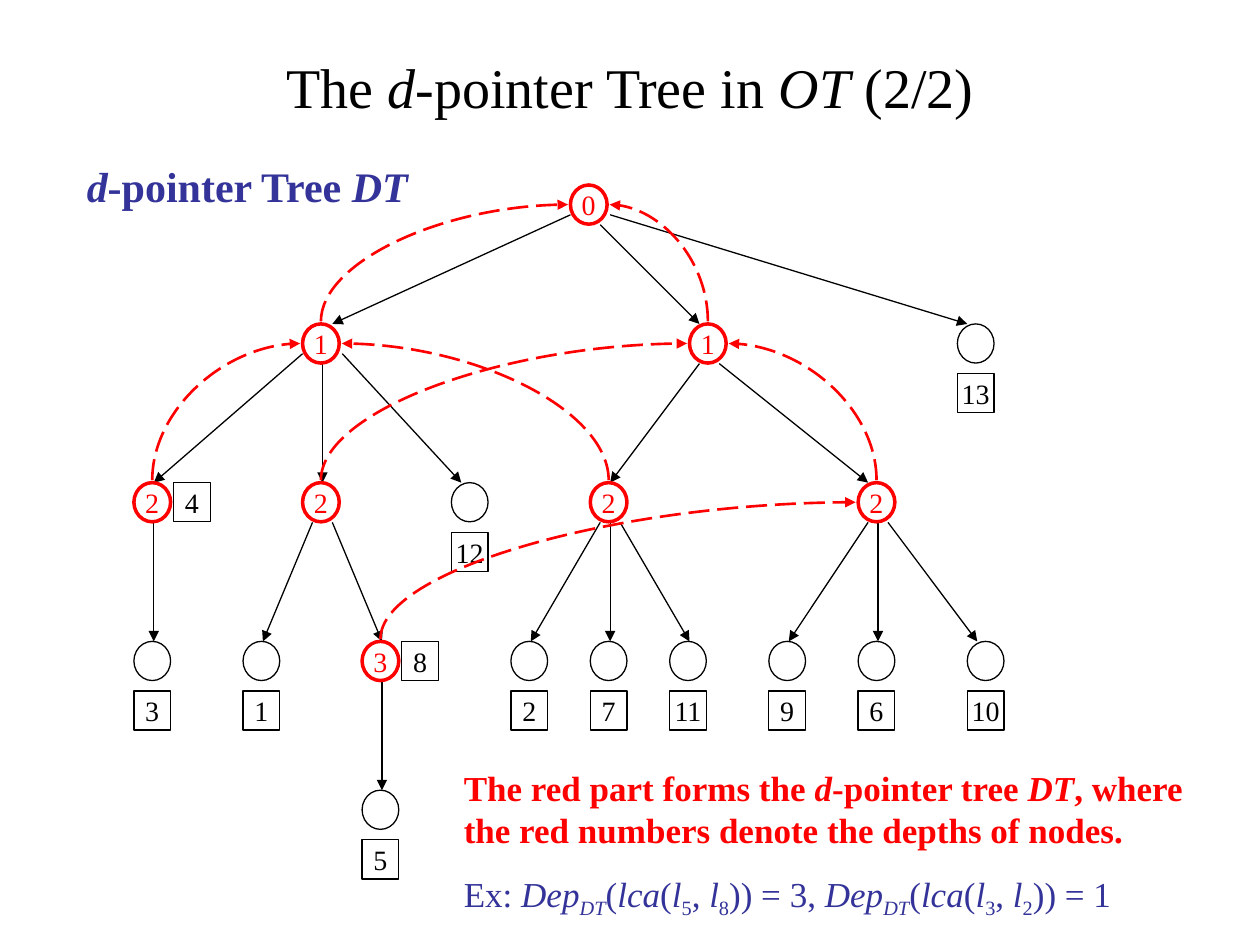
from dataclasses import dataclass

from lxml.etree import SubElement
from pptx import Presentation
from pptx.dml.color import RGBColor
from pptx.enum.dml import MSO_LINE
from pptx.enum.shapes import MSO_CONNECTOR as CONN, MSO_SHAPE as SHAPE
from pptx.enum.text import MSO_ANCHOR as ANCHOR, MSO_AUTO_SIZE as AUTO, PP_ALIGN as ALIGN
from pptx.oxml.ns import qn
from pptx.util import Cm, Pt

RED = RGBColor(0xFF, 0x00, 0x00)
BLACK = RGBColor(0x00, 0x00, 0x00)
BLUE = RGBColor(0x33, 0x33, 0x99)
FONT = "Times New Roman"

NODE_W, NODE_H = 0.74, 0.79
GAP = 0.05  # space between a node's outline and a d-pointer
LEVELS = [3.73, 6.53, 9.73, 12.93, 15.93]


@dataclass(frozen=True)
class Node:
    x: float
    level: int
    depth: str = ""  # red number, only for nodes of DT
    leaf: str = ""   # boxed leaf number

    @property
    def y(self) -> float:
        return LEVELS[self.level]


@dataclass(frozen=True)
class Edge:
    parent: str
    child: str
    dx_from: float = 0.4
    dx_to: float = 0.4


NODES = {
    "root": Node(11.5, 0, "0"),
    "a": Node(6.1, 1, "1"),
    "b": Node(13.9, 1, "1"),
    "l13": Node(19.3, 1, leaf="13"),
    "l4": Node(2.7, 2, "2", "4"),
    "c": Node(6.1, 2, "2"),
    "l12": Node(9.1, 2, leaf="12"),
    "d": Node(11.9, 2, "2"),
    "e": Node(17.3, 2, "2"),
    "l3": Node(2.7, 3, leaf="3"),
    "l1": Node(4.9, 3, leaf="1"),
    "l8": Node(7.3, 3, "3", "8"),
    "l2": Node(10.3, 3, leaf="2"),
    "l7": Node(11.9, 3, leaf="7"),
    "l11": Node(13.5, 3, leaf="11"),
    "l9": Node(15.5, 3, leaf="9"),
    "l6": Node(17.3, 3, leaf="6"),
    "l10": Node(19.5, 3, leaf="10"),
    "l5": Node(7.3, 4, leaf="5"),
}

EDGES = [
    Edge("root", "a", 0, 0.6), Edge("root", "b", 0.6, 0.2), Edge("root", "l13", 0.8, 0.2),
    Edge("a", "l4", 0), Edge("a", "c"), Edge("a", "l12", 0.8, 0.2),
    Edge("b", "d", 0.2), Edge("b", "e", 0.6, 0.2),
    Edge("l4", "l3"), Edge("c", "l1", 0.2), Edge("c", "l8", 0.6), Edge("l8", "l5"),
    Edge("d", "l2", 0.2), Edge("d", "l7"), Edge("d", "l11", 0.6),
    Edge("e", "l9", 0.2), Edge("e", "l6"), Edge("e", "l10", 0.6, 0.2),
]

# d-pointers: from node, to node
POINTERS = [("l8", "e"), ("e", "b"), ("b", "root"), ("a", "root"),
            ("l4", "a"), ("c", "b"), ("d", "a")]


def write(p, *parts, size: float, color: RGBColor = BLACK, bold: bool = False,
          align=None, before: float = 0) -> None:
    """Fill a paragraph with (text, style) parts; style: i = italic, s = subscript."""
    if align is not None:
        p.alignment = align
    if before:
        p.space_before = Pt(before)
    for text, style in parts:
        r = p.add_run()
        r.text = text
        f = r.font
        f.name, f.size, f.bold, f.italic = FONT, Pt(size), bold, "i" in style
        f.color.rgb = color
        if "s" in style:
            r._r.get_or_add_rPr().set("baseline", "-25000")


def add_text_box(slide, x: float, y: float, w: float, h: float):
    tf = slide.shapes.add_textbox(Cm(x), Cm(y), Cm(w), Cm(h)).text_frame
    tf.word_wrap = True
    tf.auto_size = AUTO.SHAPE_TO_FIT_TEXT
    return tf


def add_outline(slide, kind, x: float, y: float, text: str, color: RGBColor, width: float) -> None:
    sp = slide.shapes.add_shape(kind, Cm(x), Cm(y), Cm(NODE_W), Cm(NODE_H))
    sp.shadow.inherit = False
    sp.fill.background()
    sp.line.color.rgb = color
    sp.line.width = Pt(width)
    if text:
        tf = sp.text_frame
        tf.word_wrap = False
        tf.vertical_anchor = ANCHOR.MIDDLE
        write(tf.paragraphs[0], (text, ""), size=16, color=color, align=ALIGN.CENTER)


def draw_node(slide, n: Node) -> None:
    color, width = (RED, 2) if n.depth else (BLACK, 0.75)
    add_outline(slide, SHAPE.OVAL, n.x, n.y, n.depth, color, width)
    if n.leaf:
        x, y = (n.x + 0.8, n.y) if n.depth else (n.x, n.y + 1)
        add_outline(slide, SHAPE.RECTANGLE, x, y, n.leaf, BLACK, 0.75)


def add_arrow(slide, kind, x1: float, y1: float, x2: float, y2: float,
              color: RGBColor, width: float):
    c = slide.shapes.add_connector(kind, Cm(x1), Cm(y1), Cm(x2), Cm(y2))
    c.line.color.rgb = color
    c.line.width = Pt(width)
    SubElement(c.line._get_or_add_ln(), qn("a:tailEnd"), type="triangle")
    SubElement(c._element.spPr, qn("a:effectLst"))
    return c


def draw_edge(slide, e: Edge) -> None:
    a, b = NODES[e.parent], NODES[e.child]
    dy = 0.6 if e.dx_from in (0, 0.8) else 0.8  # sides leave higher than the bottom
    add_arrow(slide, CONN.STRAIGHT, a.x + e.dx_from, a.y + dy, b.x + e.dx_to, b.y, BLACK, 0.75)


def draw_pointer(slide, a: Node, b: Node) -> None:
    """Quarter curve from the top of a to the nearer side of b."""
    rightward = b.x > a.x
    x1, y1 = a.x + NODE_W / 2, a.y - GAP
    x2 = b.x - GAP if rightward else b.x + NODE_W + GAP
    y2 = b.y + NODE_H / 2
    c = add_arrow(slide, CONN.CURVE, x1, y1, x2, y2, RED, 1.5)
    c.line.dash_style = MSO_LINE.LONG_DASH
    # The curve leaves vertically, so its frame is turned by a quarter
    w, h = y1 - y2, abs(x2 - x1)
    c.left, c.top = Cm((x1 + x2 - w) / 2), Cm((y1 + y2 - h) / 2)
    c.width, c.height = Cm(w), Cm(h)
    spPr = c._element.spPr
    spPr.find(qn("a:prstGeom")).set("prst", "curvedConnector2")
    xfrm = spPr.find(qn("a:xfrm"))
    xfrm.set("rot", "5400000" if rightward else "16200000")
    xfrm.set("flipH", "1" if rightward else "0")
    xfrm.set("flipV", "1")


def depth_of_lca(i: str, j: str, value: str) -> list:
    return [("Dep", "i"), ("DT", "is"), ("(", ""), ("lca", "i"), ("(", ""), ("l", "i"), (i, "s"),
            (", ", ""), ("l", "i"), (j, "s"), (f")) = {value}", "")]


def main() -> None:
    prs = Presentation()
    prs.slide_width, prs.slide_height = Cm(25.4), Cm(19.05)
    slide = prs.slides.add_slide(prs.slide_layouts[5])

    # Title
    title = slide.shapes.title
    title.left, title.top, title.width, title.height = Cm(1.27), Cm(0.76), Cm(22.86), Cm(1.96)
    tf = title.text_frame
    tf.auto_size = AUTO.NONE
    tf.vertical_anchor = ANCHOR.MIDDLE
    write(tf.paragraphs[0], ("The ", ""), ("d", "i"), ("-pointer Tree in ", ""), ("OT", "i"),
          (" (2/2)", ""), size=32, align=ALIGN.CENTER)

    # Tree
    for e in EDGES:
        draw_edge(slide, e)
    for n in NODES.values():
        draw_node(slide, n)

    # Explanation and example
    tf = add_text_box(slide, 9.1, 15.32, 15.4, 3.35)
    write(tf.paragraphs[0], ("The red part forms the ", ""), ("d", "i"), ("-pointer tree ", ""),
          ("DT", "i"), (", where the red numbers denote the depths of nodes.", ""),
          size=20, color=RED, bold=True)
    write(tf.add_paragraph(), ("Ex: ", ""), *depth_of_lca("5", "8", "3"), (", ", ""),
          *depth_of_lca("3", "2", "1"), size=20, color=BLUE, before=12.5)

    # Tree heading
    tf = add_text_box(slide, 1.5, 3.12, 7.6, 1.27)
    write(tf.paragraphs[0], ("d", "i"), ("-pointer Tree ", ""), ("DT", "i"),
          size=24, color=BLUE, bold=True)

    # d-pointers
    for start, end in POINTERS:
        draw_pointer(slide, NODES[start], NODES[end])

    prs.save("out.pptx")


if __name__ == "__main__":
    main()
